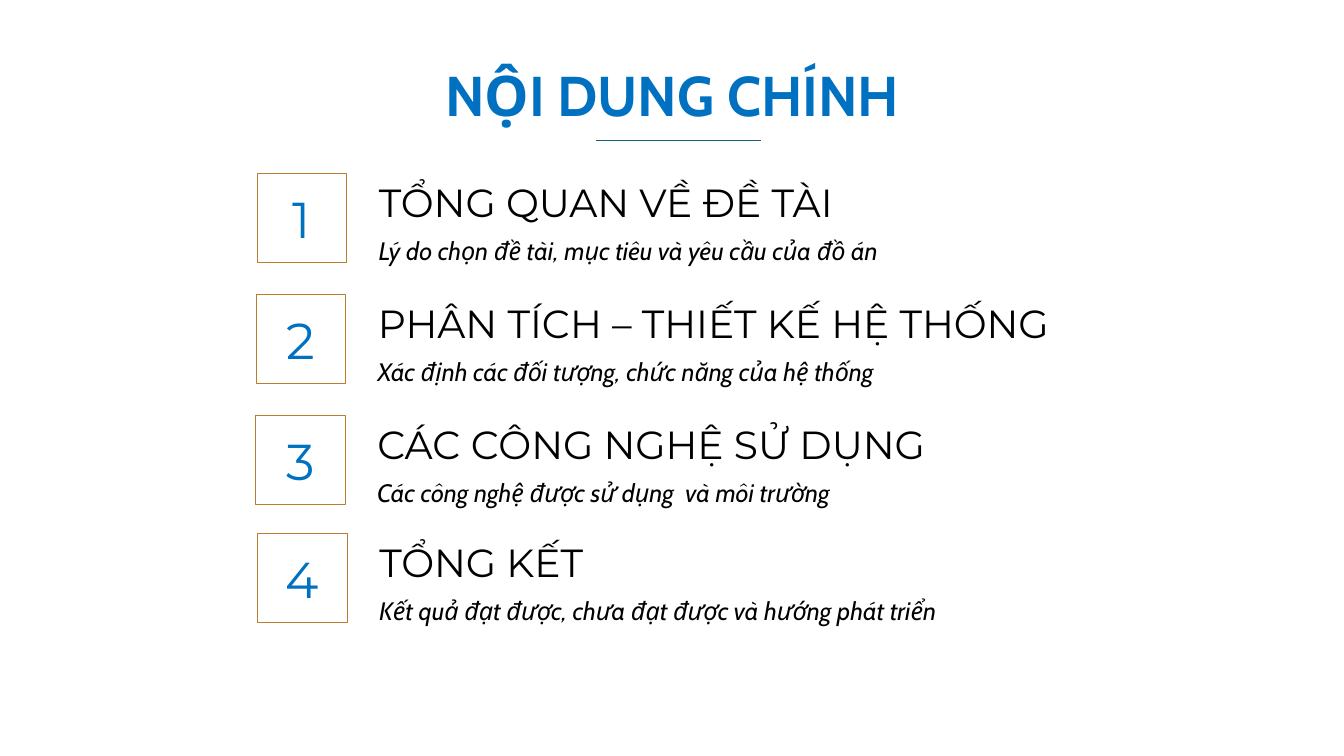
from dataclasses import dataclass

import lxml.etree
import pptx
import pptx.dml.color
import pptx.enum.shapes
import pptx.enum.text
import pptx.oxml.ns
import pptx.shapes.autoshape
import pptx.slide
import pptx.util

Pt = pptx.util.Pt
RGBColor = pptx.dml.color.RGBColor
Align = pptx.enum.text.PP_ALIGN
Anchor = pptx.enum.text.MSO_ANCHOR
Fit = pptx.enum.text.MSO_AUTO_SIZE
qn = pptx.oxml.ns.qn

BLUE = RGBColor(0x00, 0x70, 0xC0)
BLACK = RGBColor(0x00, 0x00, 0x00)
BRONZE = RGBColor(0xBA, 0x7C, 0x2E)
TEAL = RGBColor(0x15, 0x60, 0x82)

TITLE = dict(name="Cabin", size=Pt(40), bold=True, italic=False)
NUMBER = dict(name="Montserrat", size=Pt(36), bold=False, italic=False)
HEAD = dict(name="Montserrat", size=Pt(28), bold=False, italic=False)
NOTE = dict(name="Cabin", size=Pt(18), bold=False, italic=True)

BOX = 64        # side of a number box
INDENT = 79.6   # from the box to the text beside it
HEAD_H = 41     # heading height; the note follows directly
NOTE_H = 29


@dataclass(frozen=True)
class Topic:
    left: float
    top: float
    head: str
    head_w: float
    note: str
    note_w: float


TOPICS = [
    Topic(183.8, 123.8, "TỔNG QUAN VỀ ĐỀ TÀI", 472,
          "Lý do chọn đề tài, mục tiêu và yêu cầu của đồ án", 529),
    Topic(183.1, 210.3, "PHÂN TÍCH – THIẾT KẾ HỆ THỐNG", 512,
          "Xác định các đối tượng, chức năng của hệ thống", 495),
    Topic(182.7, 296.5, "CÁC CÔNG NGHỆ SỬ DỤNG", 544,
          "Các công nghệ được sử dụng  và môi trường", 527),
    Topic(184.1, 381, "TỔNG KẾT", 544,
          "Kết quả đạt được, chưa đạt được và hướng phát triển", 527),
]


def place(shape: pptx.shapes.autoshape.Shape, left: float, top: float,
          width: float, height: float) -> None:
    spots = dict(left=left, top=top, width=width, height=height)
    for key, value in spots.items():
        setattr(shape, key, Pt(value))


def write(shape: pptx.shapes.autoshape.Shape, text: str, style: dict,
          color: RGBColor, align: Align = Align.LEFT,
          anchor: Anchor = Anchor.TOP, pad: float = 3.6,
          fit: Fit = Fit.SHAPE_TO_FIT_TEXT) -> None:
    frame = shape.text_frame
    layout = dict(word_wrap=True, auto_size=fit, vertical_anchor=anchor,
                  margin_left=Pt(7.2), margin_right=Pt(7.2),
                  margin_top=Pt(pad), margin_bottom=Pt(pad))
    for key, value in layout.items():
        setattr(frame, key, value)
    para = frame.paragraphs[0]
    spacing = dict(alignment=align, space_before=Pt(0), line_spacing=1.0)
    for key, value in spacing.items():
        setattr(para, key, value)
    run = para.add_run()
    run.text = text
    for key, value in style.items():
        setattr(run.font, key, value)
    run.font.color.rgb = color


def plain(shape: pptx.shapes.autoshape.Shape) -> None:
    """Take the bullet and hanging indent off a list item."""
    props = shape.text_frame.paragraphs[0]._p.get_or_add_pPr()
    props.set("marL", "0")
    props.set("indent", "0")
    lxml.etree.SubElement(props, qn("a:buNone"))


def draw_topic(slide: pptx.slide.Slide, index: int, topic: Topic,
               body: pptx.shapes.autoshape.Shape) -> None:
    # Number box
    box = slide.shapes.add_shape(
        pptx.enum.shapes.MSO_SHAPE.RECTANGLE,
        Pt(topic.left), Pt(topic.top), Pt(BOX), Pt(BOX))
    box.shadow.inherit = False
    box.fill.background()
    box.line.color.rgb = BRONZE
    box.line.width = Pt(0.75)
    write(box, str(index), NUMBER, BLUE, Align.CENTER, Anchor.MIDDLE,
          7.2, Fit.NONE)

    # Heading and note
    left = topic.left + INDENT
    place(body, left, topic.top, topic.head_w, HEAD_H)
    write(body, topic.head, HEAD, BLACK)
    plain(body)
    note = slide.shapes.add_textbox(
        Pt(left), Pt(topic.top + HEAD_H), Pt(topic.note_w), Pt(NOTE_H))
    write(note, topic.note, NOTE, BLACK)


def main() -> None:
    deck = pptx.Presentation()
    deck.slide_width, deck.slide_height = Pt(960), Pt(540)
    # The comparison layout holds a title and four body placeholders
    slide = deck.slides.add_slide(deck.slide_layouts.get_by_name("Comparison"))
    title, *bodies = slide.placeholders

    # Title and rule
    place(title, 300.2, 39.6, 360, 55.4)
    write(title, "NỘI DUNG CHÍNH", TITLE, BLUE, Align.CENTER)
    rule = slide.shapes.add_connector(
        pptx.enum.shapes.MSO_CONNECTOR.STRAIGHT,
        Pt(425.5), Pt(100.1), Pt(543.6), Pt(100.1))
    rule.line.color.rgb = TEAL
    rule.line.width = Pt(0.75)
    lxml.etree.SubElement(rule._element.spPr, qn("a:effectLst"))

    # Topics
    for index, (topic, body) in enumerate(zip(TOPICS, bodies), 1):
        draw_topic(slide, index, topic, body)

    deck.save("out.pptx")


if __name__ == "__main__":
    main()
